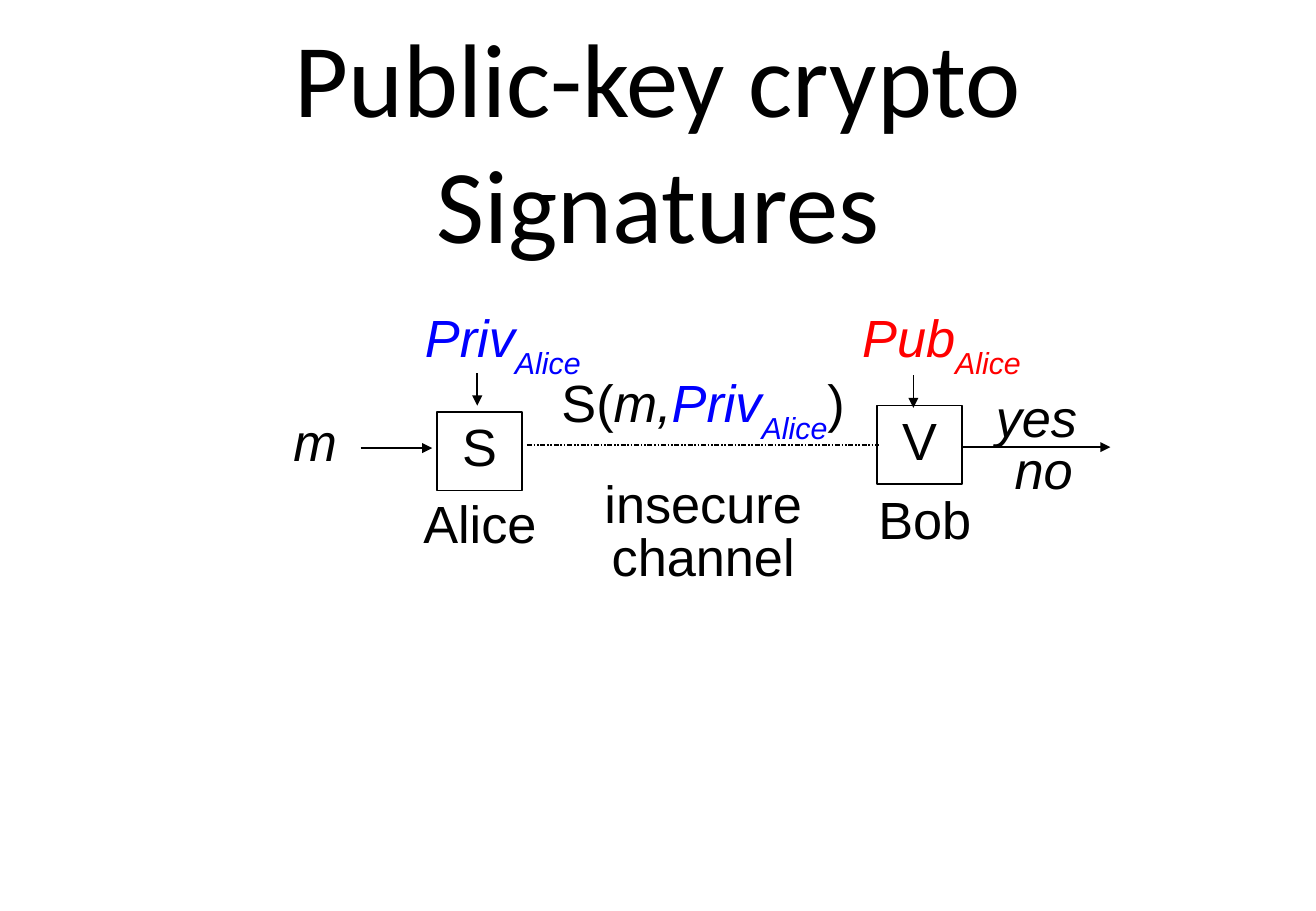
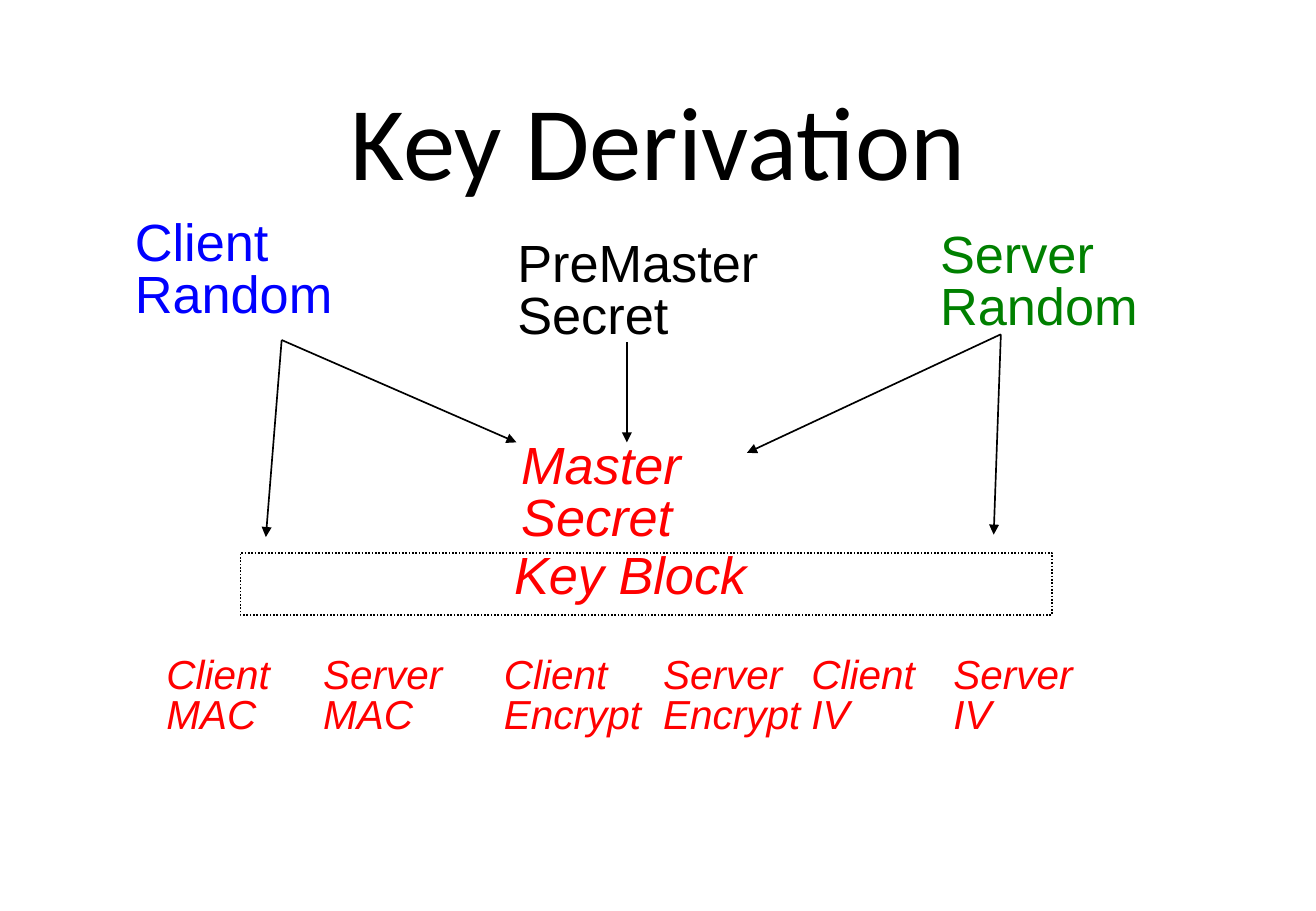
from dataclasses import dataclass, replace

from lxml import etree
from pptx import Presentation
from pptx.dml.color import RGBColor
from pptx.enum.shapes import MSO_CONNECTOR, MSO_SHAPE
from pptx.enum.text import MSO_ANCHOR, PP_ALIGN
from pptx.oxml.ns import qn
from pptx.slide import Slide
from pptx.text.text import TextFrame
from pptx.util import Cm, Pt

LEFT, MID = PP_ALIGN.LEFT, PP_ALIGN.CENTER
TOP, CENTER = MSO_ANCHOR.TOP, MSO_ANCHOR.MIDDLE
RECT, STRAIGHT = MSO_SHAPE.RECTANGLE, MSO_CONNECTOR.STRAIGHT


@dataclass(frozen=True)
class Theme:
    black: RGBColor = RGBColor(0, 0, 0)
    blue: RGBColor = RGBColor(0, 0, 255)
    red: RGBColor = RGBColor(255, 0, 0)
    green: RGBColor = RGBColor(0, 128, 0)
    head: str = "Calibri"
    body: str = "Arial"
    title: float = 62
    text: float = 31
    small: float = 24
    lead: float = 0.83
    line: float = 1


THEME = Theme()


@dataclass(frozen=True)
class Part:
    text: str
    color: RGBColor = THEME.black
    slant: bool = False
    sub: bool = False


Lines = list[list[Part]]


@dataclass(frozen=True)
class Style:
    size: float = THEME.text
    font: str = THEME.body
    lead: float = THEME.lead
    align: PP_ALIGN = MID
    anchor: MSO_ANCHOR = TOP
    wrap: bool = False
    inset: float = 0
    indent: float = 0


@dataclass(frozen=True)
class Label:
    left: float
    top: float
    width: float
    height: float
    lines: Lines
    style: Style


@dataclass(frozen=True)
class Stroke:
    start: tuple[float, float]
    end: tuple[float, float]
    dash: str = ""
    arrow: bool = True


NAME = Style()
FIXED = Style(anchor=CENTER, wrap=True)
STACK = Style(align=LEFT)
SMALL = replace(STACK, size=THEME.small)
BLOCK = replace(STACK, wrap=True, indent=5.72)
TITLE = Style(THEME.title, THEME.head, 1, anchor=CENTER, wrap=True, inset=0.1)


def rows(*texts: str, color: RGBColor = THEME.black, slant: bool = False) -> Lines:
    return [[Part(text, color, slant)] for text in texts]


def key(name: str, color: RGBColor) -> list[Part]:
    return [Part(name, color, True), Part("Alice", color, True, True)]


def fill_text(frame: TextFrame, lines: Lines, style: Style) -> None:
    frame.word_wrap = style.wrap
    frame.vertical_anchor = style.anchor
    frame.margin_left = Cm(style.inset + style.indent)
    frame.margin_right = frame.margin_top = frame.margin_bottom = Cm(style.inset)
    for i, parts in enumerate(lines):
        para = frame.paragraphs[0] if i == 0 else frame.add_paragraph()
        para.alignment = style.align
        para.line_spacing = style.lead
        for part in parts:
            run = para.add_run()
            run.text = part.text
            font = run.font
            font.name, font.size = style.font, Pt(style.size)
            font.italic = part.slant
            font.color.rgb = part.color
            if part.sub:
                run.font._element.set("baseline", "-33000")


def add_label(slide: Slide, label: Label) -> None:
    box = slide.shapes.add_textbox(
        Cm(label.left), Cm(label.top), Cm(label.width), Cm(label.height))
    fill_text(box.text_frame, label.lines, label.style)


def set_line(shape, dash: str = "", arrow: bool = False) -> None:
    shape.line.color.rgb = THEME.black
    shape.line.width = Pt(THEME.line)
    edge = shape.element.spPr.find(qn("a:ln"))
    if dash:
        etree.SubElement(edge, qn("a:prstDash")).set("val", dash)
    if arrow:
        etree.SubElement(edge, qn("a:tailEnd")).set("type", "triangle")


def add_box(slide: Slide, label: Label, dash: str = "") -> None:
    box = slide.shapes.add_shape(
        RECT, Cm(label.left), Cm(label.top), Cm(label.width), Cm(label.height))
    box.shadow.inherit = False
    box.fill.background()
    set_line(box, dash)
    fill_text(box.text_frame, label.lines, label.style)


def add_stroke(slide: Slide, stroke: Stroke) -> None:
    ends = [Cm(value) for value in stroke.start + stroke.end]
    line = slide.shapes.add_connector(STRAIGHT, *ends)
    set_line(line, stroke.dash, stroke.arrow)
    etree.SubElement(line.element.spPr, qn("a:effectLst"))


def add_slide(deck, title: Lines, labels: list[Label], strokes: list[Stroke]) -> Slide:
    slide = deck.slides.add_slide(deck.slide_layouts[6])
    add_label(slide, Label(2.69, 0.51, 22.15, 4.78, title, TITLE))
    for stroke in strokes:
        add_stroke(slide, stroke)
    for label in labels:
        add_label(slide, label)
    return slide


def sign_slide(deck) -> None:
    sent = [Part("S("), Part("m,", slant=True), *key("Priv", THEME.blue), Part(")")]
    labels = [
        Label(8.84, 10.49, 2.39, 1.14, rows("Alice"), NAME),
        Label(18.36, 10.41, 1.96, 1.14, rows("Bob"), NAME),
        Label(5.84, 8.97, 1.5, 0.71, rows("m", slant=True), FIXED),
        Label(8.66, 6.43, 3.71, 1.14, [key("Priv", THEME.blue)], NAME),
        Label(17.81, 6.43, 3.76, 1.14, [key("Pub", THEME.red)], NAME),
        Label(11.02, 8.08, 7.37, 0.71, [sent], FIXED),
        Label(11.02, 10.16, 7.37, 2.03, rows("insecure channel"), FIXED),
        Label(20.14, 8.69, 3.07, 1.35, rows("yes", " no", slant=True), FIXED),
    ]
    strokes = [
        Stroke((7.54, 9.37), (9.04, 9.37)),
        Stroke((9.98, 7.8), (9.98, 8.48)),
        Stroke((19.1, 7.85), (19.1, 8.53)),
        Stroke((11.02, 9.3), (18.39, 9.3), "sysDashDotDot", False),
        Stroke((20.12, 9.35), (23.22, 9.35)),
    ]
    slide = add_slide(deck, rows("Public-key crypto", "Signatures"), labels, strokes)
    for text, left, top in (("S", 9.14, 8.61), ("V", 18.34, 8.48)):
        add_box(slide, Label(left, top, 1.78, 1.65, rows(text), FIXED))


def key_slide(deck) -> None:
    client, server = (5.89, 7.11), (20.93, 6.99)
    master = rows("Master", "Secret", color=THEME.red, slant=True)
    labels = [
        Label(10.82, 5.03, 5.11, 2.24, rows("PreMaster", "Secret"), STACK),
        Label(2.82, 4.6, 4.17, 2.24, rows("Client", "Random", color=THEME.blue), STACK),
        Label(19.66, 4.85, 4.17, 2.24, rows("Server", "Random", color=THEME.green), STACK),
        Label(10.9, 9.25, 3.61, 2.24, master, STACK),
    ]
    parts = (
        ("Client", "MAC", 3.48, 2.36),
        ("Server", "MAC", 6.76, 2.69),
        ("Client", "Encrypt", 10.54, 3.07),
        ("Server", "Encrypt", 13.87, 3.07),
        ("Client", "IV", 16.97, 2.36),
        ("Server", "IV", 19.94, 2.69),
    )
    for side, use, left, width in parts:
        lines = rows(side, use, color=THEME.red, slant=True)
        labels.append(Label(left, 13.74, width, 1.73, lines, SMALL))
    strokes = [
        Stroke((13.11, 7.16), (13.11, 9.25)),
        Stroke(client, (10.8, 9.25)),
        Stroke(client, (5.56, 11.23)),
        Stroke(server, (15.62, 9.47)),
        Stroke(server, (20.78, 11.18)),
    ]
    slide = add_slide(deck, rows("Key Derivation"), labels, strokes)
    block = rows("Key Block", color=THEME.red, slant=True)
    add_box(slide, Label(5.03, 11.56, 16.97, 1.3, block, BLOCK), "sysDot")


def main() -> None:
    deck = Presentation()
    deck.slide_width, deck.slide_height = Cm(27.52), Cm(19.05)
    sign_slide(deck)
    key_slide(deck)
    deck.save("out.pptx")


if __name__ == "__main__":
    main()
